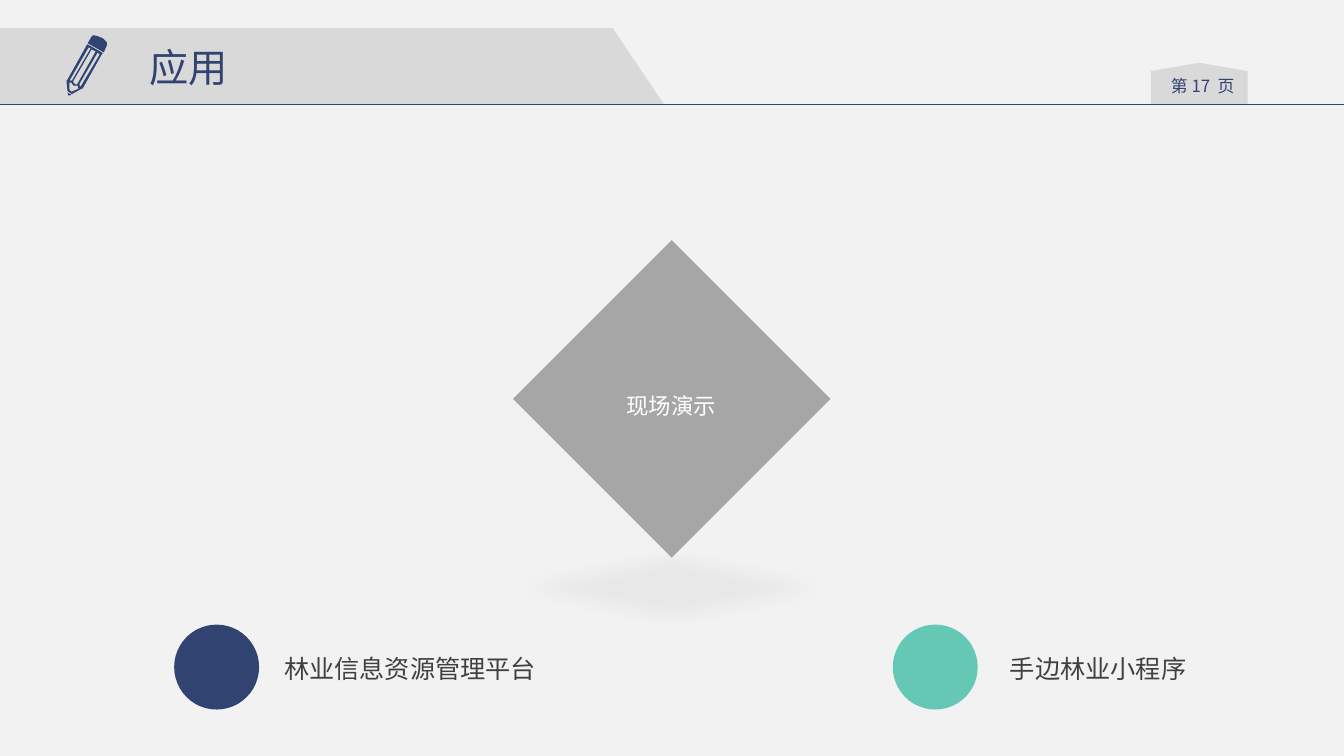
import pptx
import pptx.dml.color
import pptx.enum.shapes
import pptx.enum.text
import pptx.oxml
import pptx.oxml.ns
import pptx.util
from lxml import etree
from pptx.util import Cm

FONT = "Noto Sans CJK SC"
NAVY = "314371"
TEAL = "64C8B4"
PAPER = "F2F2F2"
PANEL = "D9D9D9"
GREY = "A6A6A6"
DARK = "404040"
WHITE = "FFFFFF"
SLIDE_WIDTH = Cm(33.87)
RULE_TOP = Cm(2.64)
HUNDREDTH_INCH = Cm(2.54) / 100
SHAPES = pptx.enum.shapes.MSO_SHAPE

# Contours in hundredths of an inch; inner contours are holes.
PENCIL_BODY = [
    [(66, 80), (67, 90), (68, 91), (71, 93), (72, 93), (81, 88), (82, 88),
     (101, 54), (102, 53), (101, 52), (87, 44), (86, 45), (67, 79)],
    [(69, 80), (88, 47), (90, 48), (72, 79), (71, 80)],
    [(71, 91), (69, 89), (69, 82), (71, 82), (73, 85), (77, 85), (78, 88)],
    [(73, 80), (91, 49), (95, 51), (77, 83), (76, 83.5), (74, 83), (73, 82)],
    [(80, 86), (79, 85), (79, 83), (97, 52), (99, 54)],
]
PENCIL_ERASER = [[(87, 43), (91, 36), (93, 35), (97, 35.5), (102, 38),
                  (105.5, 42), (106, 45), (103, 52)]]
PENCIL_TIP = [[(71, 94), (67, 92), (68, 95)]]


def rgb(value):
    return pptx.dml.color.RGBColor.from_string(value)


def paint(shape, color):
    shape.shadow.inherit = False
    shape.fill.solid()
    shape.fill.fore_color.rgb = rgb(color)
    shape.line.fill.background()


def add_figure(shapes, kind, left, top, width, height, color):
    figure = shapes.add_shape(kind, left, top, width, height)
    paint(figure, color)
    return figure


def add_outline(shapes, contours, color):
    """Draw closed contours, given in hundredths of an inch, as one shape."""
    builder = shapes.build_freeform(*contours[0][0], scale=HUNDREDTH_INCH)
    builder.add_line_segments(contours[0][1:], close=True)
    for contour in contours[1:]:
        builder.move_to(*contour[0])
        builder.add_line_segments(contour[1:], close=True)
    paint(builder.convert_to_shape(), color)


def add_label(shapes, text, left, top, width, height, size, color):
    box = shapes.add_textbox(left, top, width, height)
    frame = box.text_frame
    frame.text = text
    frame.word_wrap = False
    frame.auto_size = pptx.enum.text.MSO_AUTO_SIZE.SHAPE_TO_FIT_TEXT
    span = frame.paragraphs[0].runs[0]
    span.font.size = pptx.util.Pt(size)
    span.font.name = FONT
    span.font.color.rgb = rgb(color)
    east_asian = etree.SubElement(span.font._element, pptx.oxml.ns.qn("a:ea"))
    east_asian.set("typeface", FONT)
    return frame


def add_rule(shapes):
    rule = shapes.add_connector(pptx.enum.shapes.MSO_CONNECTOR.STRAIGHT,
                                0, RULE_TOP, SLIDE_WIDTH, RULE_TOP)
    rule.line.color.rgb = rgb(NAVY)
    rule.line.width = pptx.util.Pt(1)
    etree.SubElement(rule._element.spPr, pptx.oxml.ns.qn("a:effectLst"))


def add_pencil(shapes):
    pencil = shapes.add_group_shape()
    for contours in (PENCIL_ERASER, PENCIL_BODY, PENCIL_TIP):
        add_outline(pencil.shapes, contours, NAVY)


def add_page_tag(shapes):
    tag = add_figure(shapes, SHAPES.FLOWCHART_OFFPAGE_CONNECTOR,
                     Cm(29), Cm(1.58), Cm(2.44), Cm(1.06), PANEL)
    tag.rotation = 180
    frame = add_label(shapes, "第 17  页", Cm(29.17), Cm(1.82), Cm(2.28), Cm(0.76), 12, NAVY)
    frame.word_wrap = True
    frame.auto_size = pptx.enum.text.MSO_AUTO_SIZE.NONE
    frame.margin_left = frame.margin_right = Cm(0.18)
    frame.margin_top = frame.margin_bottom = Cm(0.1)
    frame.paragraphs[0].alignment = pptx.enum.text.PP_ALIGN.CENTER


def add_floor_shadow(shape):
    """Cast a faint, flattened shadow below the shape."""
    effects = shape._element.spPr.find(pptx.oxml.ns.qn("a:effectLst"))
    effects.append(pptx.oxml.parse_xml(
        f'<a:outerShdw {pptx.oxml.ns.nsdecls("a")} blurRad="152400" dist="0" '
        'dir="5400000" sx="90000" sy="-19000" algn="b" rotWithShape="0">'
        '<a:srgbClr val="000000"><a:alpha val="4000"/></a:srgbClr></a:outerShdw>'))


def add_topic(shapes, text, circle_left, text_left, text_width, color):
    topic = shapes.add_group_shape()
    add_figure(topic.shapes, SHAPES.OVAL, circle_left, Cm(15.74), Cm(2.14), Cm(2.14), color)
    add_label(topic.shapes, text, text_left, Cm(16.33), text_width, Cm(1.02), 18, DARK)


def main():
    deck = pptx.Presentation()
    deck.slide_width = SLIDE_WIDTH
    deck.slide_height = Cm(19.05)
    page = deck.slides.add_slide(deck.slide_layouts[6])
    page.background.fill.solid()
    page.background.fill.fore_color.rgb = rgb(PAPER)
    shapes = page.shapes

    add_outline(shapes, [[(0, 104), (0, 28), (608, 28), (659, 104)]], PANEL)
    add_page_tag(shapes)
    add_rule(shapes)
    add_pencil(shapes)

    add_topic(shapes, "手边林业小程序", Cm(22.5), Cm(25.2), Cm(4.95), TEAL)
    add_topic(shapes, "林业信息资源管理平台", Cm(4.39), Cm(6.91), Cm(6.86), NAVY)

    add_label(shapes, "应用", Cm(3.51), Cm(0.97), Cm(2.49), Cm(1.45), 28, NAVY)
    diamond = add_figure(shapes, SHAPES.DIAMOND, Cm(12.93), Cm(6.05), Cm(8), Cm(8), GREY)
    add_floor_shadow(diamond)
    demo = add_label(shapes, "现场演示", Cm(15.54), Cm(9.42), Cm(2.77), Cm(1.27), 16, WHITE)
    demo.paragraphs[0].line_spacing = 1.5

    deck.save("out.pptx")


if __name__ == "__main__":
    main()
